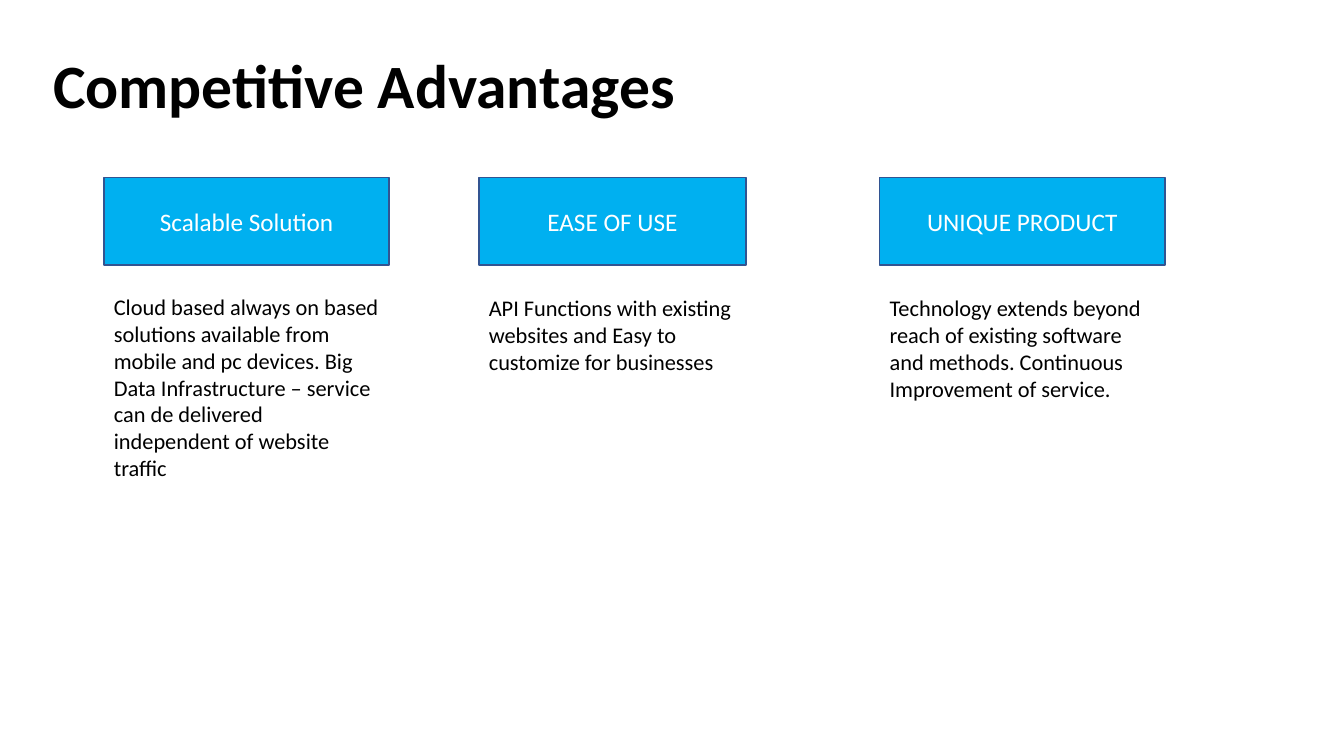
from pptx import Presentation
from pptx.dml.color import RGBColor
from pptx.enum.shapes import MSO_SHAPE
from pptx.enum.text import MSO_ANCHOR, MSO_AUTO_SIZE, PP_ALIGN
from pptx.util import Cm, Pt

RECTANGLE = MSO_SHAPE.RECTANGLE
TOP, MIDDLE = MSO_ANCHOR.TOP, MSO_ANCHOR.MIDDLE
LEFT, CENTER = PP_ALIGN.LEFT, PP_ALIGN.CENTER
GROW = MSO_AUTO_SIZE.SHAPE_TO_FIT_TEXT

FONT = "Calibri"
BLACK, WHITE = "000000", "FFFFFF"
SKY, NAVY = "00B0F0", "325491"

COLUMN_TOP, COLUMN_WIDTH = 4.47, 7.19
HEADING_HEIGHT = 2.21

# left, heading width, heading, gap above description, description height, description
ADVANTAGES = [
    (2.62, COLUMN_WIDTH, "Scalable Solution", 0.58, 5.05,
     "Cloud based always on based solutions available from mobile and pc devices. "
     "Big Data Infrastructure – service can de delivered independent of website traffic"),
    (12.07, 6.73, "EASE OF USE", 0.61, 2.31,
     "API Functions with existing websites and Easy to customize for businesses"),
    (22.17, COLUMN_WIDTH, "UNIQUE PRODUCT", 0.61, 3,
     "Technology extends beyond reach of existing software and methods. "
     "Continuous Improvement of service."),
]


def color(value):
    return RGBColor.from_string(value)


def write(shape, text, size, ink=BLACK, bold=False, align=LEFT, anchor=TOP):
    frame = shape.text_frame
    frame.word_wrap = True
    frame.vertical_anchor = anchor
    paragraph = frame.paragraphs[0]
    paragraph.alignment = align
    run = paragraph.add_run()
    run.text = text
    run.font.name = FONT
    run.font.size = Pt(size)
    run.font.bold = bold
    run.font.color.rgb = color(ink)


def add_text(slide, box, text, size, **style):
    """Add a text box whose height follows its text; box is in centimetres."""
    text_box = slide.shapes.add_textbox(*map(Cm, box))
    write(text_box, text, size, **style)
    text_box.text_frame.auto_size = GROW


def add_heading(slide, box, text):
    heading = slide.shapes.add_shape(RECTANGLE, *map(Cm, box))
    heading.shadow.inherit = False
    heading.fill.solid()
    heading.fill.fore_color.rgb = color(SKY)
    heading.line.color.rgb = color(NAVY)
    heading.line.width = Pt(1)
    write(heading, text, 18, ink=WHITE, align=CENTER, anchor=MIDDLE)


def add_advantage(slide, left, top, heading_width, heading, gap, height, description):
    add_heading(slide, (left, top, heading_width, HEADING_HEIGHT), heading)
    description_top = top + HEADING_HEIGHT + gap
    add_text(slide, (left, description_top, COLUMN_WIDTH, height), description, 16)


def main():
    deck = Presentation()
    deck.slide_width, deck.slide_height = Cm(33.87), Cm(19.05)
    slide = deck.slides.add_slide(deck.slide_layouts[6])
    add_text(slide, (1.09, 1.07, 28.27, 2.13), "Competitive Advantages", 44, bold=True)
    for left, *content in ADVANTAGES:
        add_advantage(slide, left, COLUMN_TOP, *content)
    deck.save("out.pptx")


if __name__ == "__main__":
    main()
